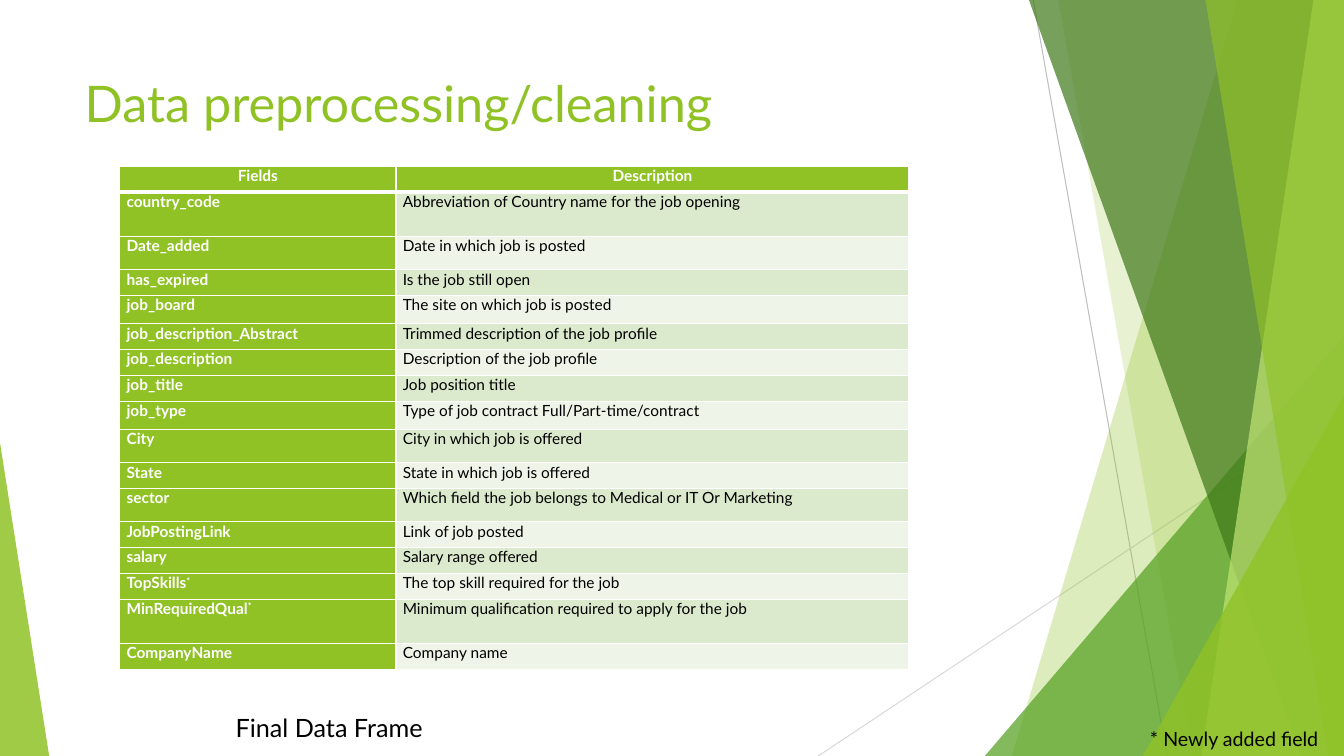
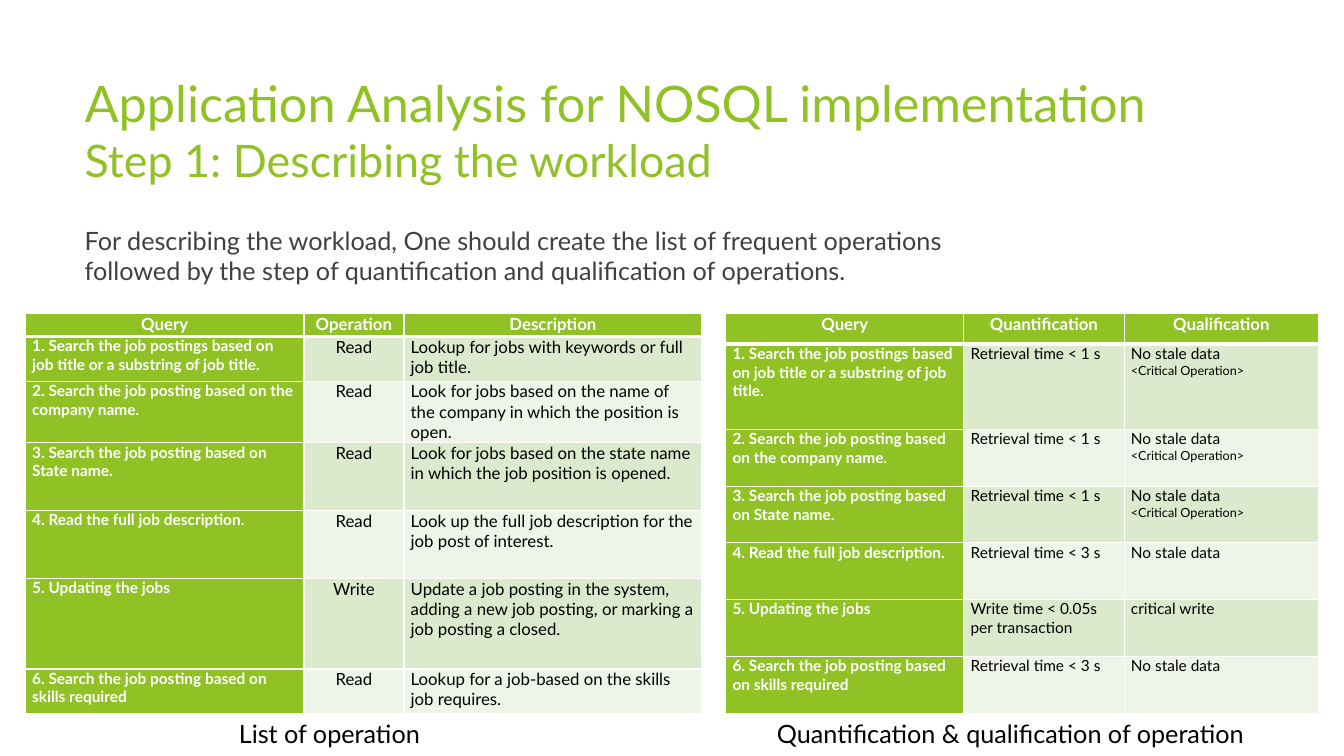
from lxml import etree
from pptx import Presentation
from pptx.dml.color import RGBColor
from pptx.enum.shapes import MSO_CONNECTOR, MSO_SHAPE
from pptx.enum.text import MSO_ANCHOR, MSO_AUTO_SIZE, PP_ALIGN
from pptx.oxml.ns import qn
from pptx.util import Cm, Pt

LEFT, CENTER = PP_ALIGN.LEFT, PP_ALIGN.CENTER
TRIANGLE, STRAIGHT = MSO_SHAPE.ISOSCELES_TRIANGLE, MSO_CONNECTOR.STRAIGHT
TOP, NO_FIT = MSO_ANCHOR.TOP, MSO_AUTO_SIZE.NONE
TITLE_AND_BODY, TITLE_ONLY = 1, 5
WIDTH, HEIGHT = 33.87, 19.05

FONT = "Lato"
GREEN, MID_GREEN, DARK_GREEN, PALE_GREEN = "90C226", "54A021", "3F7819", "C0E474"
BANDS = ("DBE9CD", "EEF4E8")
WHITE, BLACK, GREY = "FFFFFF", "000000", "404040"
THIN, THICK = Pt(1), Pt(3)

colour_of = RGBColor.from_string


def write(para, text, size=18, colour=BLACK, bold=False, align=LEFT, raised=False):
    """Add a formatted run to the paragraph."""
    para.alignment = align
    span = para.add_run()
    span.text = text
    span.font.name = FONT
    span.font.size = Pt(size)
    span.font.bold = bold
    span.font.color.rgb = colour_of(colour)
    if raised:
        span.font._element.set("baseline", "30000")


def add_grid(page, left, top, widths, heights, rows, head_size=12, size=11, centred=None):
    """Add a table with a green header row, a green first column and banded cells."""
    frame = page.shapes.add_table(len(rows), len(widths), Cm(left), Cm(top),
                                  Cm(sum(widths)), Cm(sum(heights)))
    table = frame.table
    table.first_row = table.horz_banding = False
    for column, width in zip(table.columns, widths):
        column.width = Cm(width)
    for row, height in zip(table.rows, heights):
        row.height = Cm(height)

    for r, row in enumerate(rows):
        for c, text in enumerate(row):
            cell = table.cell(r, c)
            cell.margin_left = cell.margin_right = Cm(0.17)
            cell.margin_top = cell.margin_bottom = 0
            is_head, is_key = r == 0, c == 0

            borders = {"lnL": THIN, "lnR": THIN,
                       "lnT": THICK if r == 1 else THIN,
                       "lnB": THICK if is_head else THIN}
            for side, weight in borders.items():
                line = etree.SubElement(cell._tc.get_or_add_tcPr(), qn(f"a:{side}"), w=str(weight))
                paint = etree.SubElement(line, qn("a:solidFill"))
                etree.SubElement(paint, qn("a:srgbClr"), val=WHITE)
            cell.fill.solid()
            cell.fill.fore_color.rgb = colour_of(GREEN if is_head or is_key else BANDS[(r - 1) % 2])

            style = {"size": head_size if is_head else 11 if is_key else size,
                     "colour": WHITE if is_head or is_key else BLACK,
                     "bold": is_head or is_key,
                     "align": CENTER if is_head or c == centred else LEFT}
            main, _, note = text.partition("\n")
            para = cell.text_frame.paragraphs[0]
            write(para, main.rstrip("*"), **style)
            if main.endswith("*"):
                write(para, "*", raised=True, **style)
            if note:
                write(cell.text_frame.add_paragraph(), note, size=9)


deck = Presentation()
deck.slide_width, deck.slide_height = Cm(WIDTH), Cm(HEIGHT)
title_style = deck.slide_master.element.find(f".//{qn('p:titleStyle')}/{qn('a:lvl1pPr')}")
title_style.set("algn", "l")
title_style.find(qn("a:defRPr")).set("sz", "3600")

# Titles: layout, width, lines with their sizes
titles = [
    (TITLE_ONLY, 23.88, [("Data preprocessing/cleaning", 36)]),
    (TITLE_AND_BODY, 27.94, [("Application Analysis for NOSQL implementation", 36),
                             ("Step 1: Describing the workload", 32)]),
]
pages = []
for layout, width, lines in titles:
    page = deck.slides.add_slide(deck.slide_layouts[layout])
    pages.append(page)
    title = page.shapes.title
    title.left, title.top, title.width, title.height = Cm(1.88), Cm(1.7), Cm(width), Cm(3.66)
    title.text_frame.vertical_anchor = TOP
    title.text_frame.auto_size = NO_FIT
    para = title.text_frame.paragraphs[0]
    for i, (text, size) in enumerate(lines):
        if i:
            para.add_line_break()
        write(para, text, size=size, colour=GREEN)
data_page, workload_page = pages

# Faceted decoration of the data page
shapes = data_page.shapes
for x1, y1, x2, y2, colour in [(26.04, 0, 29.41, HEIGHT, "BFBFBF"),
                               (WIDTH, 10.24, 20.62, HEIGHT, "D9D9D9")]:
    line = shapes.add_connector(STRAIGHT, Cm(x1), Cm(y1), Cm(x2), Cm(y2))
    line.line.color.rgb = colour_of(colour)
    line.line.width = Pt(0.75)
    etree.SubElement(line._element.spPr, qn("a:effectLst"))

# A band gives its top and bottom left corners and runs to the right edge;
# a triangle gives its tip position and its box.
facets = [
    (GREEN, 30, None, (31.19, 25.5)),
    (GREEN, 20, None, (26.67, 30.05)),
    (MID_GREEN, 72, 1, (24.82, 8.46, 9.05, 10.59)),
    (DARK_GREEN, 70, None, (25.93, 32.79)),
    (PALE_GREEN, 70, None, (33.1, 30.28)),
    (GREEN, 65, None, (30.38, 33.48)),
    (GREEN, 80, 1, (28.8, 9.98, 5.07, 9.07)),
    (GREEN, 85, 0, (0, 11.15, 1.24, 7.9)),
]
for colour, opacity, tip, place in facets:
    if tip is None:
        upper, lower = place
        outline = shapes.build_freeform(Cm(upper), 0)
        outline.add_line_segments([(Cm(WIDTH), 0), (Cm(WIDTH), Cm(HEIGHT)), (Cm(lower), Cm(HEIGHT))])
        facet = outline.convert_to_shape()
    else:
        facet = shapes.add_shape(TRIANGLE, *map(Cm, place))
        facet.adjustments[0] = tip
    facet.shadow.inherit = False
    facet.line.fill.background()
    facet.fill.solid()
    facet.fill.fore_color.rgb = colour_of(colour)
    tint = facet._element.spPr.find(f".//{qn('a:srgbClr')}")
    etree.SubElement(tint, qn("a:alpha"), val=str(opacity * 1000))
shapes._spTree.append(shapes.title._element)

# Data page: fields with their row heights
fields = [
    ("Fields", "Description", 0.65),
    ("country_code", "Abbreviation of Country name for the job opening", 1.12),
    ("Date_added", "Date in which job is posted", 0.84),
    ("has_expired", "Is the job still open", 0.65),
    ("job_board", "The site on which job is posted", 0.71),
    ("job_description_Abstract", "Trimmed description of the job profile", 0.65),
    ("job_description", "Description of the job profile", 0.65),
    ("job_title", "Job position title", 0.65),
    ("job_type", "Type of job contract Full/Part-time/contract", 0.71),
    ("City", "City in which job is offered", 0.84),
    ("State", "State in which job is offered", 0.65),
    ("sector", "Which field the job belongs to Medical or IT Or Marketing", 0.84),
    ("JobPostingLink", "Link of job posted", 0.65),
    ("salary", "Salary range offered", 0.65),
    ("TopSkills*", "The top skill required for the job", 0.65),
    ("MinRequiredQual*", "Minimum qualification required to apply for the job", 1.12),
    ("CompanyName", "Company name", 0.65),
]
add_grid(data_page, 3.02, 4.19, [6.96, 12.93], [field[2] for field in fields],
         [field[:2] for field in fields], head_size=11)

# Workload page
body = workload_page.placeholders[1]
body.left, body.top, body.width, body.height = Cm(1.88), Cm(5.54), Cm(23.88), Cm(2.18)
body.text_frame.auto_size = NO_FIT
para = body.text_frame.paragraphs[0]
write(para, "For describing the workload, One should create the list of frequent operations "
      "followed by the step of quantification and qualification of operations.", colour=GREY)
para.space_before = Pt(10)
bullet_format = para._p.get_or_add_pPr()
bullet_format.set("marL", "0")
bullet_format.set("indent", "0")
etree.SubElement(bullet_format, qn("a:buNone"))

critical = "No stale data\n<Critical Operation>"
# Query, operation, description, quantification, qualification
workload = [
    ("Query", "Operation", "Description", "Quantification", "Qualification"),
    ("1. Search the job postings based on job title or a substring of job title.", "Read",
     "Lookup for jobs with keywords or full job title.", "Retrieval time < 1 s", critical),
    ("2. Search the job posting based on the company name.", "Read",
     "Look for jobs based on the name of the company in which the position is open.",
     "Retrieval time < 1 s", critical),
    ("3. Search the job posting based on State name.", "Read",
     "Look for jobs based on the state name in which the job position is opened.",
     "Retrieval time < 1 s", critical),
    ("4. Read the full job description.", "Read",
     "Look up the full job description for the job post of interest.",
     "Retrieval time < 3 s", "No stale data"),
    ("5. Updating the jobs", "Write",
     "Update a job posting in the system, adding a new job posting, or marking a job posting a closed.",
     "Write time < 0.05s per transaction", "critical write"),
    ("6. Search the job posting based on skills required", "Read",
     "Lookup for a job-based on the skills job requires.", "Retrieval time < 3 s", "No stale data"),
]
add_grid(workload_page, 0.64, 7.9, [7.02, 2.52, 7.51], [0.58, 1.13, 1.55, 1.71, 1.71, 2.28, 1.13],
         [row[:3] for row in workload], size=12, centred=1)
add_grid(workload_page, 18.29, 7.9, [6, 4.04, 4.9], [0.77, 2.15] + [1.43] * 5,
         [row[:1] + row[3:] for row in workload])

captions = [
    (data_page, "Final Data Frame", 18, (5.69, 17.83, 11.81, 1.02)),
    (data_page, "* Newly added field", 14, (28.73, 18.19, 5.1, 0.86)),
    (workload_page, "List of operation", 18, (5.77, 17.98, 6.17, 1.02)),
    (workload_page, "Quantification & qualification of operation", 18, (19.33, 17.98, 13.23, 1.02)),
]
for page, text, size, place in captions:
    box = page.shapes.add_textbox(*map(Cm, place))
    box.text_frame.word_wrap = True
    write(box.text_frame.paragraphs[0], text, size=size)

deck.save("out.pptx")
